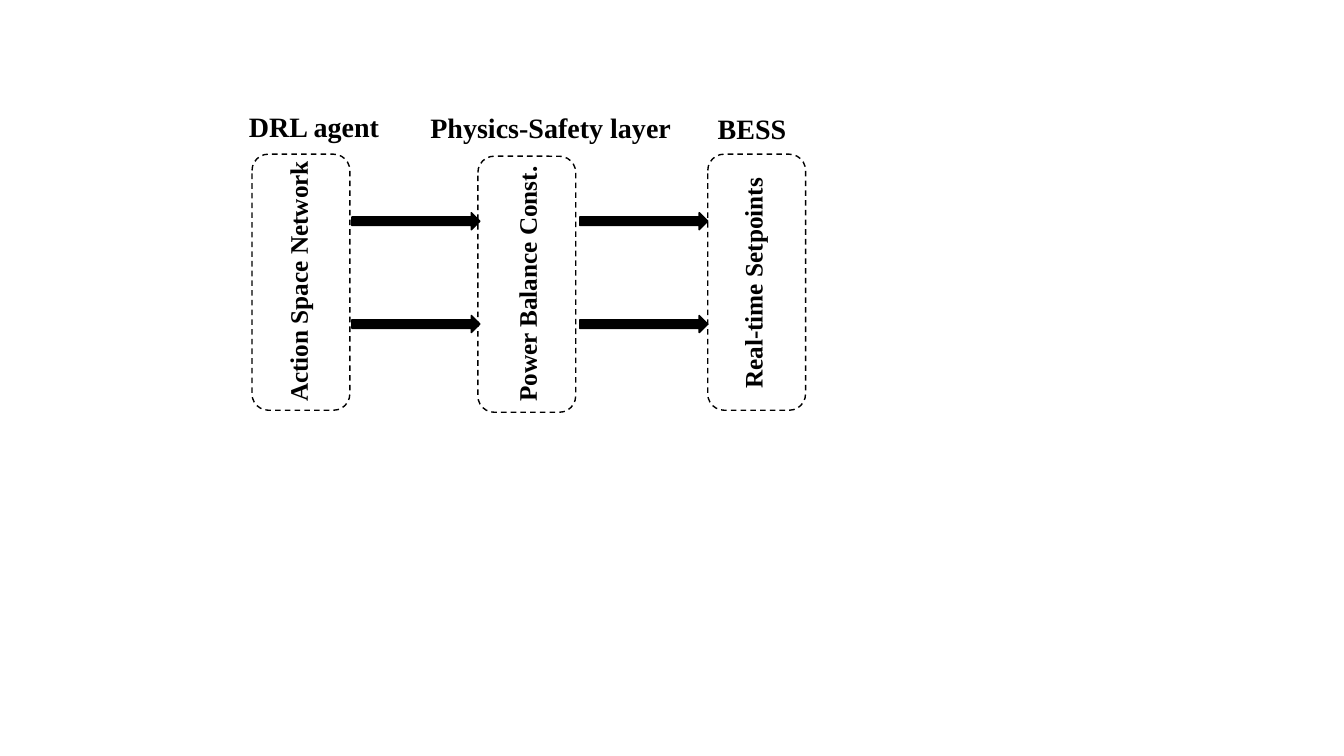
from dataclasses import dataclass

from pptx import Presentation
from pptx.dml.color import RGBColor
from pptx.enum.dml import MSO_LINE
from pptx.enum.shapes import MSO_SHAPE
from pptx.enum.text import MSO_AUTO_SIZE
from pptx.util import Inches, Pt


@dataclass(frozen=True)
class Theme:
    ink: RGBColor = RGBColor(0, 0, 0)
    paper: RGBColor = RGBColor(255, 255, 255)
    font: str = "Times New Roman"
    title_size: int = 20
    label_size: int = 18
    line_width: int = 1


@dataclass(frozen=True)
class Stage:
    title: str
    label: str
    left: float
    top: float
    title_box: tuple  # dx, dy, width from the stage corner
    label_at: tuple  # dx, dy from the stage corner


THEME = Theme()
STAGE_W, STAGE_H = 0.97, 2.54
TITLE_H = 0.44
LABEL_W, LABEL_H = 2.71, 0.4
ARROW_W, ARROW_H = 1.27, 0.17

STAGES = [
    Stage("DRL agent", "Action Space Network", 2.5, 1.53,
          (-0.13, -0.49, 1.6), (-0.9, 1.0)),
    Stage("Physics-Safety layer", "Power Balance Const.", 4.74, 1.55,
          (-0.57, -0.5, 3.22), (-0.87, 0.98)),
    Stage("BESS", "Real-time Setpoints", 7.02, 1.53,
          (0, -0.47, 3.22), (-0.91, 0.87)),
]
ARROW_LEFTS = [3.49, 5.75]
ARROW_TOPS = [2.11, 3.13]


def add_outlined(slide, kind, left, top, width, height, fill):
    sp = slide.shapes.add_shape(
        kind, Inches(left), Inches(top), Inches(width), Inches(height))
    sp.shadow.inherit = False
    sp.fill.solid()
    sp.fill.fore_color.rgb = fill
    sp.line.color.rgb = THEME.ink
    sp.line.width = Pt(THEME.line_width)
    return sp


def add_text(slide, text, left, top, width, height, size, rotation=0):
    box = slide.shapes.add_textbox(
        Inches(left), Inches(top), Inches(width), Inches(height))
    box.rotation = rotation
    tf = box.text_frame
    tf.word_wrap = True
    tf.auto_size = MSO_AUTO_SIZE.SHAPE_TO_FIT_TEXT
    r = tf.paragraphs[0].add_run()
    r.text = text
    r.font.name = THEME.font
    r.font.size = Pt(size)
    r.font.bold = True
    r.font.color.rgb = THEME.ink


def add_stage(slide, stage):
    # Dashed frame
    frame = add_outlined(slide, MSO_SHAPE.ROUNDED_RECTANGLE, stage.left,
                         stage.top, STAGE_W, STAGE_H, THEME.paper)
    frame.line.dash_style = MSO_LINE.DASH
    # Title above the frame
    dx, dy, width = stage.title_box
    add_text(slide, stage.title, stage.left + dx, stage.top + dy,
             width, TITLE_H, THEME.title_size)
    # Label reading upwards inside the frame
    dx, dy = stage.label_at
    add_text(slide, stage.label, stage.left + dx, stage.top + dy,
             LABEL_W, LABEL_H, THEME.label_size, rotation=270)


def add_arrows(slide, left):
    for top in ARROW_TOPS:
        add_outlined(slide, MSO_SHAPE.RIGHT_ARROW, left, top,
                     ARROW_W, ARROW_H, THEME.ink)


def main():
    prs = Presentation()
    prs.slide_width, prs.slide_height = Inches(13.33), Inches(7.5)
    slide = prs.slides.add_slide(prs.slide_layouts[6])
    for stage in STAGES:
        add_stage(slide, stage)
    for left in ARROW_LEFTS:
        add_arrows(slide, left)
    prs.save("out.pptx")


if __name__ == "__main__":
    main()
